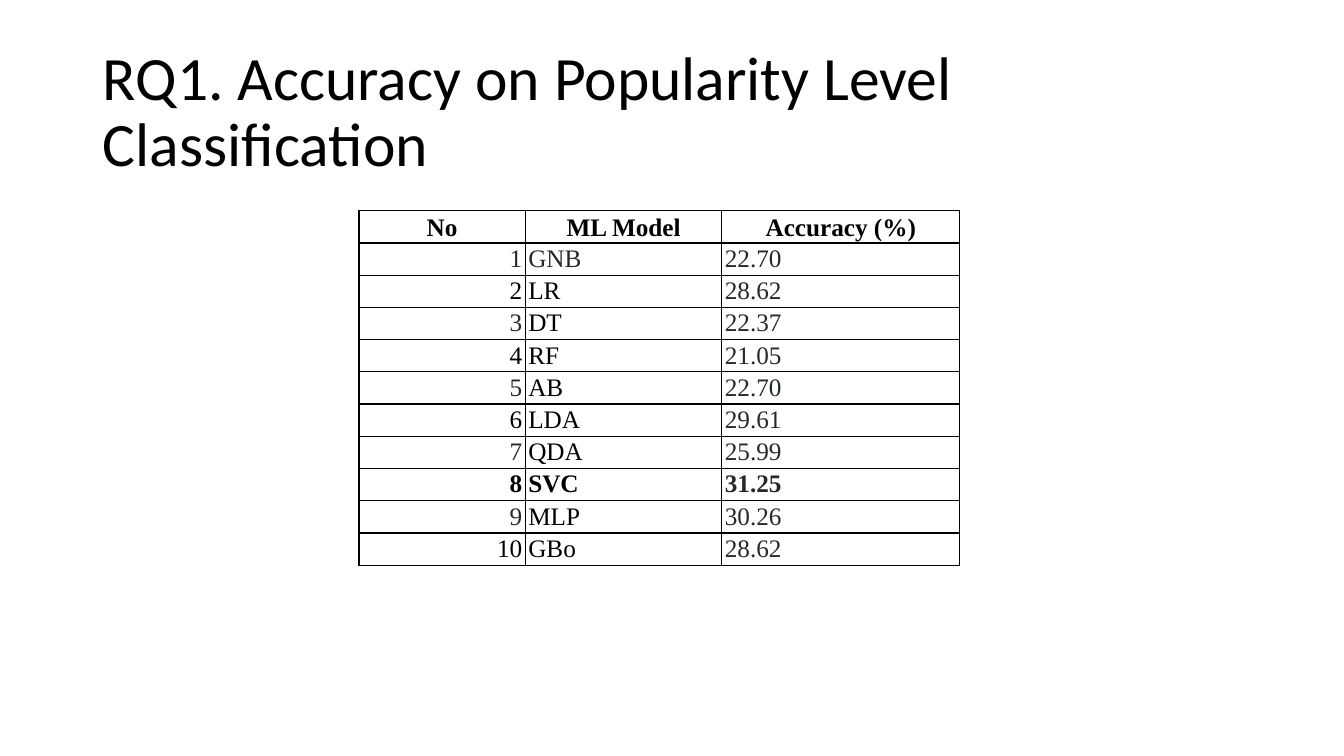
from lxml.etree import SubElement
from pptx import Presentation
from pptx.dml.color import RGBColor
from pptx.enum.text import MSO_ANCHOR, MSO_AUTO_SIZE, PP_ALIGN
from pptx.oxml.ns import qn
from pptx.util import Inches, Pt

BLACK = RGBColor(0x00, 0x00, 0x00)
CHARCOAL = RGBColor(0x24, 0x29, 0x2E)

HEADERS = ("No", "ML Model", "Accuracy (%)")
RESULTS = (
    ("GNB", "22.70"),
    ("LR", "28.62"),
    ("DT", "22.37"),
    ("RF", "21.05"),
    ("AB", "22.70"),
    ("LDA", "29.61"),
    ("QDA", "25.99"),
    ("SVC", "31.25"),
    ("MLP", "30.26"),
    ("GBo", "28.62"),
)
BEST_MODEL = "SVC"
COLUMN_WIDTHS = (1.65, 1.95, 2.36)
ROW_HEIGHT = 0.32


def format_paragraph(paragraph, font_name, size, color, alignment, bold=False):
    """Apply alignment to a paragraph and font settings to its runs."""
    paragraph.alignment = alignment
    for run in paragraph.runs:
        run.font.name = font_name
        run.font.size = Pt(size)
        run.font.bold = bold
        run.font.color.rgb = color


def add_title(slide, text):
    """Fill and place the title placeholder."""
    title = slide.shapes.title
    title.left, title.top = Inches(0.92), Inches(0.4)
    title.width, title.height = Inches(11.5), Inches(1.45)
    text_frame = title.text_frame
    text_frame.text = text
    text_frame.word_wrap = True
    text_frame.auto_size = MSO_AUTO_SIZE.NONE
    text_frame.vertical_anchor = MSO_ANCHOR.MIDDLE
    paragraph = text_frame.paragraphs[0]
    paragraph.line_spacing = 0.9
    format_paragraph(paragraph, "Calibri", 44, BLACK, PP_ALIGN.LEFT)


def add_borders(cell):
    """Draw a thin black line on all four sides of a cell."""
    properties = cell._tc.get_or_add_tcPr()
    for position, side in enumerate(("lnL", "lnR", "lnT", "lnB")):
        line = SubElement(properties, qn(f"a:{side}"), w=str(Pt(1)))
        fill = SubElement(line, qn("a:solidFill"))
        SubElement(fill, qn("a:srgbClr"), val=str(BLACK))
        properties.insert(position, line)


def fill_cell(cell, text, color, alignment, anchor, bold):
    """Write and format one table cell."""
    cell.text = text
    cell.margin_left = cell.margin_right = Inches(0.03)
    cell.margin_top, cell.margin_bottom = Inches(0.02), Inches(0.01)
    cell.vertical_anchor = anchor
    cell.fill.background()
    paragraph = cell.text_frame.paragraphs[0]
    format_paragraph(paragraph, "Times New Roman", 18, color, alignment, bold)
    add_borders(cell)


def add_accuracy_table(slide):
    """Add the table of models and their accuracies."""
    row_count = len(RESULTS) + 1
    table = slide.shapes.add_table(
        row_count, len(HEADERS), Inches(3.56), Inches(2.09),
        Inches(sum(COLUMN_WIDTHS)), Inches(ROW_HEIGHT * row_count),
    ).table
    table.horz_banding = False
    for column, width in zip(table.columns, COLUMN_WIDTHS):
        column.width = Inches(width)
    for row in table.rows:
        row.height = Inches(ROW_HEIGHT)
    for column, header in enumerate(HEADERS):
        fill_cell(table.cell(0, column), header, BLACK, PP_ALIGN.CENTER,
                  MSO_ANCHOR.BOTTOM, True)
    alignments = (PP_ALIGN.RIGHT, PP_ALIGN.LEFT, PP_ALIGN.LEFT)
    for number, (model, accuracy) in enumerate(RESULTS, start=1):
        colors = (
            CHARCOAL if number % 2 else BLACK,
            CHARCOAL if number == 1 else BLACK,
            CHARCOAL,
        )
        for column, text in enumerate((str(number), model, accuracy)):
            fill_cell(table.cell(number, column), text, colors[column],
                      alignments[column], MSO_ANCHOR.TOP, model == BEST_MODEL)


def main():
    """Build and save the slide."""
    presentation = Presentation()
    presentation.slide_width = Inches(13.33)
    presentation.slide_height = Inches(7.5)
    slide = presentation.slides.add_slide(presentation.slide_layouts[5])
    add_title(slide, "RQ1. Accuracy on Popularity Level Classification")
    add_accuracy_table(slide)
    presentation.save("out.pptx")


if __name__ == "__main__":
    main()
